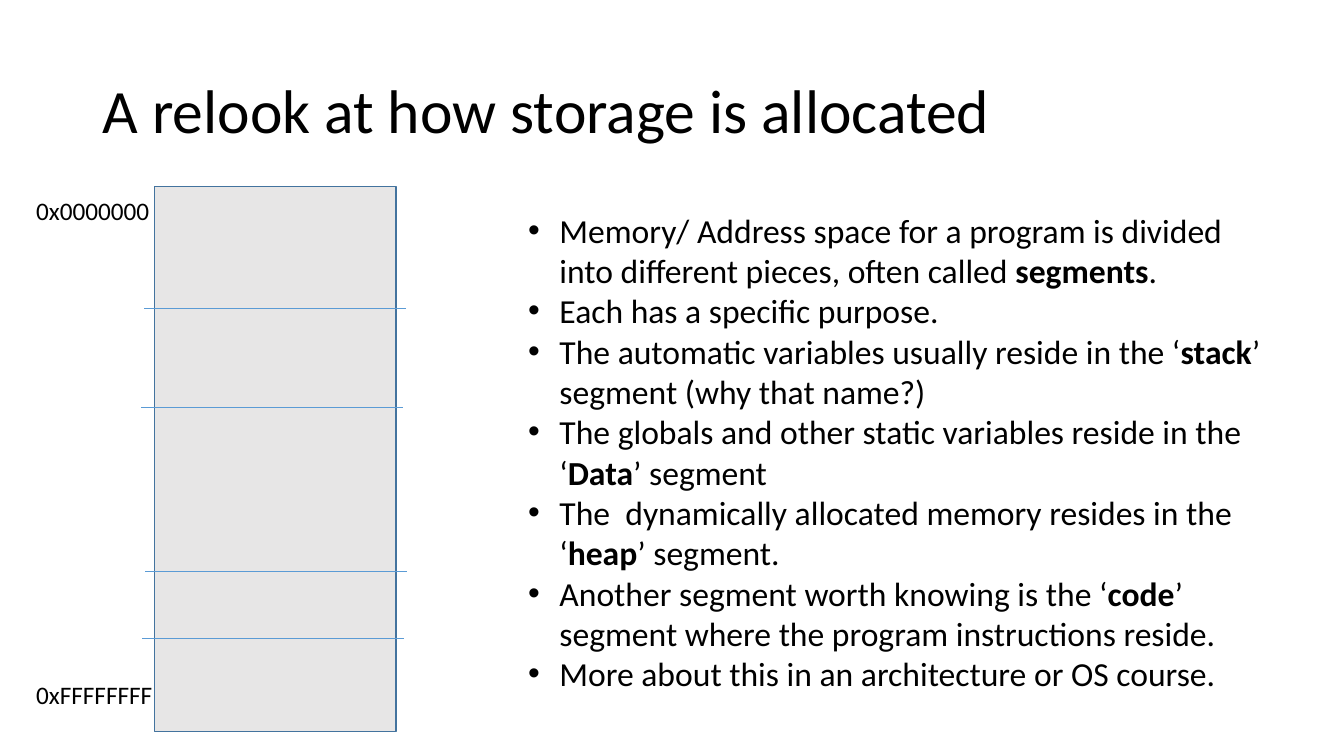
from pptx import Presentation
from pptx.dml.color import RGBColor
from pptx.enum.shapes import MSO_CONNECTOR, MSO_SHAPE
from pptx.enum.text import MSO_ANCHOR
from pptx.util import Inches, Pt
from lxml.etree import SubElement
from pptx.oxml.ns import qn

# Content: asterisks enclose bold words
TITLE = "A relook at how storage is allocated"
POINTS = [
    "Memory/ Address space for a program is divided into different pieces, "
    "often called *segments*.",
    "Each has a specific purpose.",
    "The automatic variables usually reside in the ‘*stack*’ segment (why that name?)",
    "The globals and other static variables reside in the ‘*Data*’ segment",
    "The  dynamically allocated memory resides in the ‘*heap*’ segment.",
    "Another segment worth knowing is the ‘*code*’ segment where the program "
    "instructions reside.",
    "More about this in an architecture or OS course.",
]
LABELS = [("0x0000000", 1.89), ("0xFFFFFFFF", 6.69)]  # text, top
CUTS = [(1.43, 3.06), (1.4, 4.04), (1.44, 5.67), (1.41, 6.33)]  # left, height
CUT_W = 2.6

BLACK = RGBColor(0, 0, 0)
GREY = RGBColor(0xE7, 0xE6, 0xE6)
EDGE = RGBColor(0x43, 0x73, 0x9E)
BLUE = RGBColor(0x5B, 0x9B, 0xD5)

deck = Presentation()
deck.slide_width, deck.slide_height = Inches(13.33), Inches(7.5)
slide = deck.slides.add_slide(deck.slide_layouts[6])
shapes = slide.shapes


def write(lines, box, size, anchor=MSO_ANCHOR.TOP, space=1.0, indent=0):
    frame = shapes.add_textbox(*map(Inches, box)).text_frame
    frame.word_wrap = True
    frame.vertical_anchor = anchor
    for i, line in enumerate(lines):
        para = frame.add_paragraph() if i else frame.paragraphs[0]
        para.line_spacing = space
        if indent:
            props = para._p.get_or_add_pPr()
            props.set("marL", str(Inches(indent)))
            props.set("indent", str(-Inches(indent)))
            SubElement(props, qn("a:buFont"), typeface="Arial")
            SubElement(props, qn("a:buChar"), char="•")
        for j, part in enumerate(line.split("*")):
            run = para.add_run()
            run.text = part
            font = run.font
            font.name, font.size, font.bold = "Calibri", Pt(size), j % 2 == 1
            font.color.rgb = BLACK


# Title
write([TITLE], (0.92, 0.4, 11.5, 1.45), 44, anchor=MSO_ANCHOR.MIDDLE, space=0.9)

# Memory block with its end addresses
block = shapes.add_shape(MSO_SHAPE.RECTANGLE, *map(Inches, (1.53, 1.85, 2.4, 5.41)))
block.shadow.inherit = False
block.fill.solid()
block.fill.fore_color.rgb = GREY
block.line.color.rgb = EDGE
block.line.width = Pt(1)
for text, top in LABELS:
    write([text], (0.26, top, 1.83, 0.4), 18)

# Segment borders
for left, y in CUTS:
    cut = shapes.add_connector(
        MSO_CONNECTOR.STRAIGHT, *map(Inches, (left, y, left + CUT_W, y)))
    cut.line.color.rgb = BLUE
    cut.line.width = Pt(0.5)
    SubElement(cut._element.spPr, qn("a:effectLst"))

# Explanation
write(POINTS, (5.14, 2.03, 7.61, 4.95), 24, indent=0.31)

deck.save("out.pptx")
